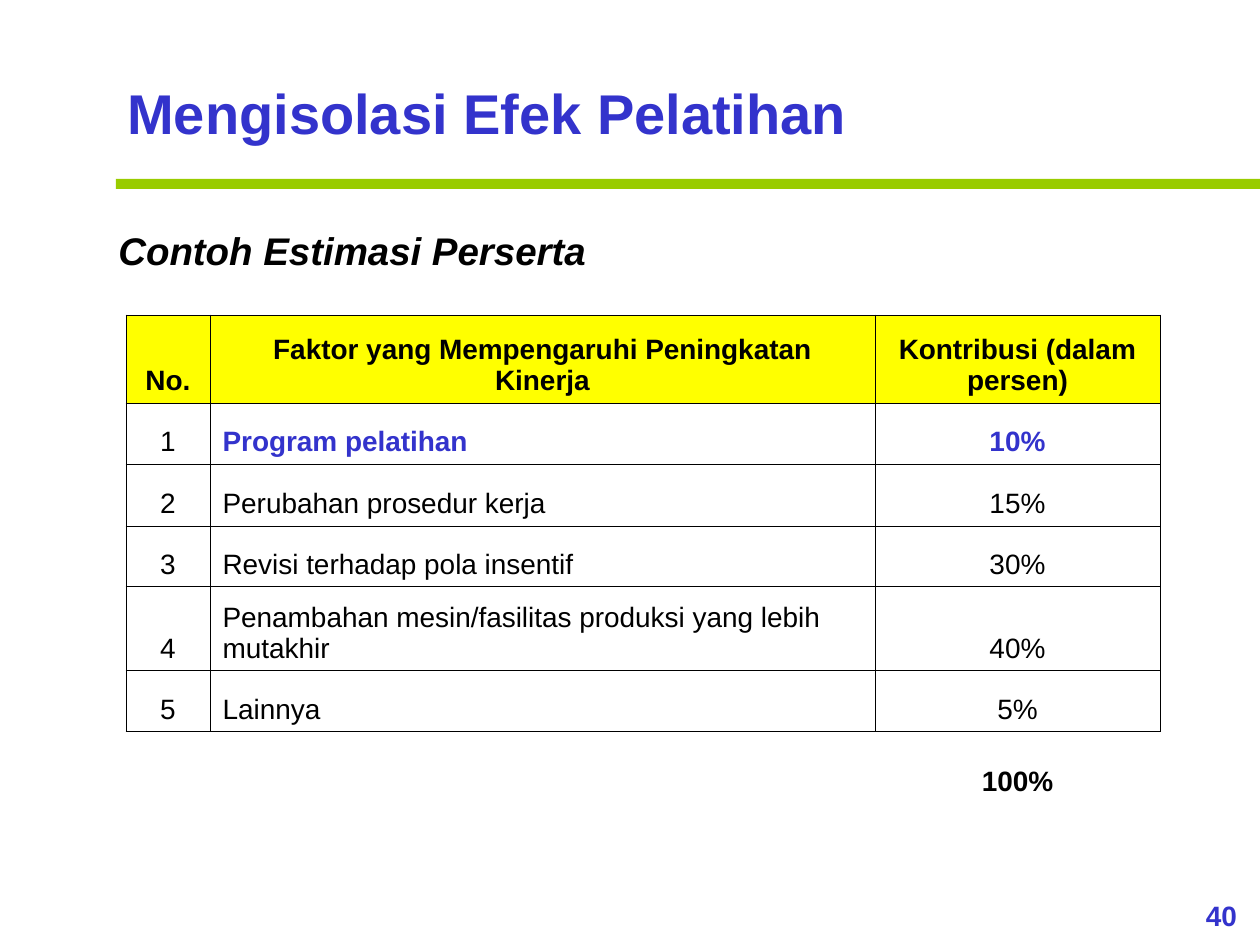
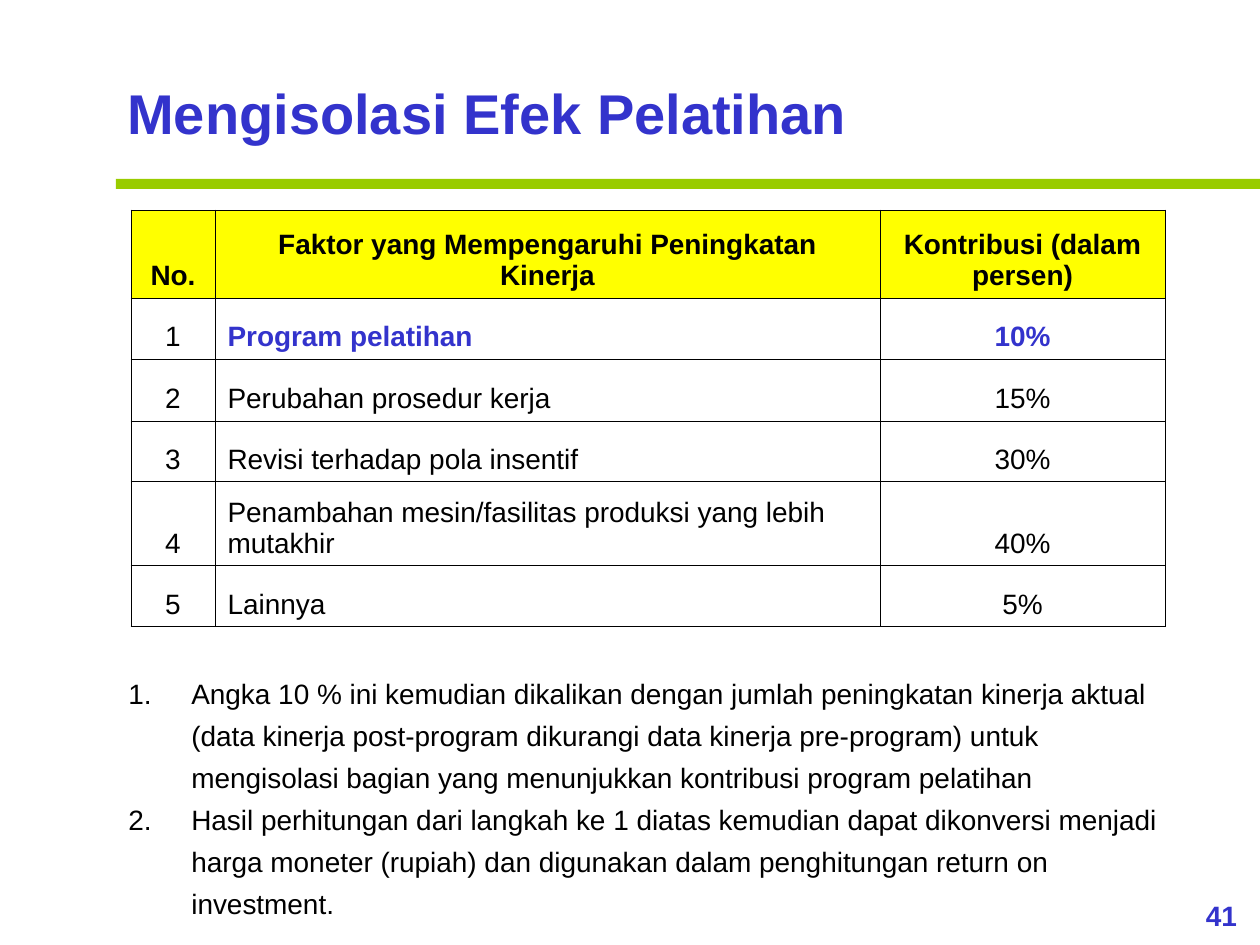
from lxml.etree import SubElement
from pptx import Presentation
from pptx.dml.color import RGBColor
from pptx.enum.shapes import MSO_SHAPE
from pptx.enum.text import MSO_ANCHOR, MSO_AUTO_SIZE, PP_ALIGN
from pptx.oxml.ns import qn
from pptx.util import Emu, Pt

PX = 914400 / 126  # one px in EMU
FONT = "Arial"
HUES = {"blue": "3333CC", "green": "99CC00", "yellow": "FFFF00", "black": "000000"}
LEFT, MID = PP_ALIGN.LEFT, PP_ALIGN.CENTER

HEAD = ["No.", "Faktor yang Mempengaruhi Peningkatan Kinerja", "Kontribusi (dalam persen)"]
FACTORS = [
    ("Program pelatihan", "10%"),
    ("Perubahan prosedur kerja", "15%"),
    ("Revisi terhadap pola insentif", "30%"),
    ("Penambahan mesin/fasilitas produksi yang lebih mutakhir", "40%"),
    ("Lainnya", "5%"),
]
TOTAL = ["", "", "100%"]
STEPS = [
    "Angka 10 % ini kemudian dikalikan dengan jumlah peningkatan kinerja aktual "
    "(data kinerja post-program dikurangi data kinerja pre-program) untuk "
    "mengisolasi bagian yang menunjukkan kontribusi program pelatihan",
    "Hasil perhitungan dari langkah ke 1 diatas kemudian dapat dikonversi menjadi "
    "harga moneter (rupiah) dan digunakan dalam penghitungan return on investment.",
]
COLS = [84, 665, 285]
ROWS = [88, 61, 62, 61, 84, 61, 72]
PAGES = [
    {"no": "40", "sub": "Contoh Estimasi Perserta", "at": (126, 315), "total": True, "steps": []},
    {"no": "41", "sub": None, "at": (131, 210), "total": False, "steps": STEPS},
]


def px(*nums):
    return [Emu(round(n * PX)) for n in nums]


def write(slide, box, texts, size, hue="black", bold=False, italic=False,
          align=LEFT, space=1.0, wrap=True, count=False):
    """Add a text box with one paragraph per text, numbered if count is set."""
    frame = slide.shapes.add_textbox(*px(*box)).text_frame
    frame.word_wrap = wrap
    frame.auto_size = MSO_AUTO_SIZE.SHAPE_TO_FIT_TEXT
    for i, text in enumerate(texts):
        para = frame.paragraphs[0] if i == 0 else frame.add_paragraph()
        para.alignment, para.line_spacing = align, space
        if count:
            props = para._p.get_or_add_pPr()
            props.set("marL", "457200")
            props.set("indent", "-457200")
            SubElement(props, qn("a:buFont"), typeface=FONT)
            SubElement(props, qn("a:buAutoNum"), type="arabicPeriod")
        run = para.add_run()
        run.text = text
        font = run.font
        font.name, font.size, font.bold, font.italic = FONT, Pt(size), bold, italic
        font.color.rgb = RGBColor.from_string(HUES[hue])


deck = Presentation()
deck.slide_width, deck.slide_height = px(1260, 945)

for page in PAGES:
    slide = deck.slides.add_slide(deck.slide_layouts[6])

    # Page number, band and title
    write(slide, (1183, 892, 77, 47), [page["no"]], 16, "blue", bold=True, align=MID)
    band = slide.shapes.add_shape(MSO_SHAPE.RECTANGLE, *px(116, 179, 1144, 10))
    band.shadow.inherit = False
    band.fill.solid()
    band.fill.fore_color.rgb = RGBColor.from_string(HUES["green"])
    band.line.fill.background()
    write(slide, (115, 66, 745, 87), ["Mengisolasi Efek Pelatihan"], 32, "blue",
          bold=True, space=1.1, wrap=False)

    if page["sub"]:
        write(slide, (106, 221, 493, 59), [page["sub"]], 22, bold=True, italic=True, wrap=False)
    if page["steps"]:
        write(slide, (116, 662, 1081, 265), page["steps"], 16, space=1.25, count=True)

    # Table of factors
    grid = [HEAD] + [[str(i), *pair] for i, pair in enumerate(FACTORS, 1)]
    if page["total"]:
        grid.append(TOTAL)
    tall = ROWS[:len(grid)]
    table = slide.shapes.add_table(
        len(grid), len(COLS), *px(*page["at"], sum(COLS), sum(tall))).table
    table.first_row = table.horz_banding = False
    for col, wide in zip(table.columns, COLS):
        col.width = px(wide)[0]
    for r, texts in enumerate(grid):
        table.rows[r].height = px(tall[r])[0]
        last = texts is TOTAL
        for c, text in enumerate(texts):
            cell = table.cell(r, c)
            cell.vertical_anchor = MSO_ANCHOR.BOTTOM
            props = cell._tc.get_or_add_tcPr()
            for side in "LRTB":
                line = SubElement(props, qn("a:ln" + side), w="5715")
                if last and side != "T":
                    SubElement(line, qn("a:noFill"))
                else:
                    fill = SubElement(line, qn("a:solidFill"))
                    SubElement(fill, qn("a:srgbClr"), val=HUES["black"])
            if r == 0:
                cell.fill.solid()
                cell.fill.fore_color.rgb = RGBColor.from_string(HUES["yellow"])
            else:
                cell.fill.background()
            if not text:
                continue
            para = cell.text_frame.paragraphs[0]
            para.alignment = LEFT if c == 1 and r else MID
            run = para.add_run()
            run.text = text
            key = r == 1 and c > 0
            run.font.name, run.font.size = FONT, Pt(16)
            run.font.bold = r == 0 or key or last
            run.font.color.rgb = RGBColor.from_string(HUES["blue" if key else "black"])

deck.save("out.pptx")
